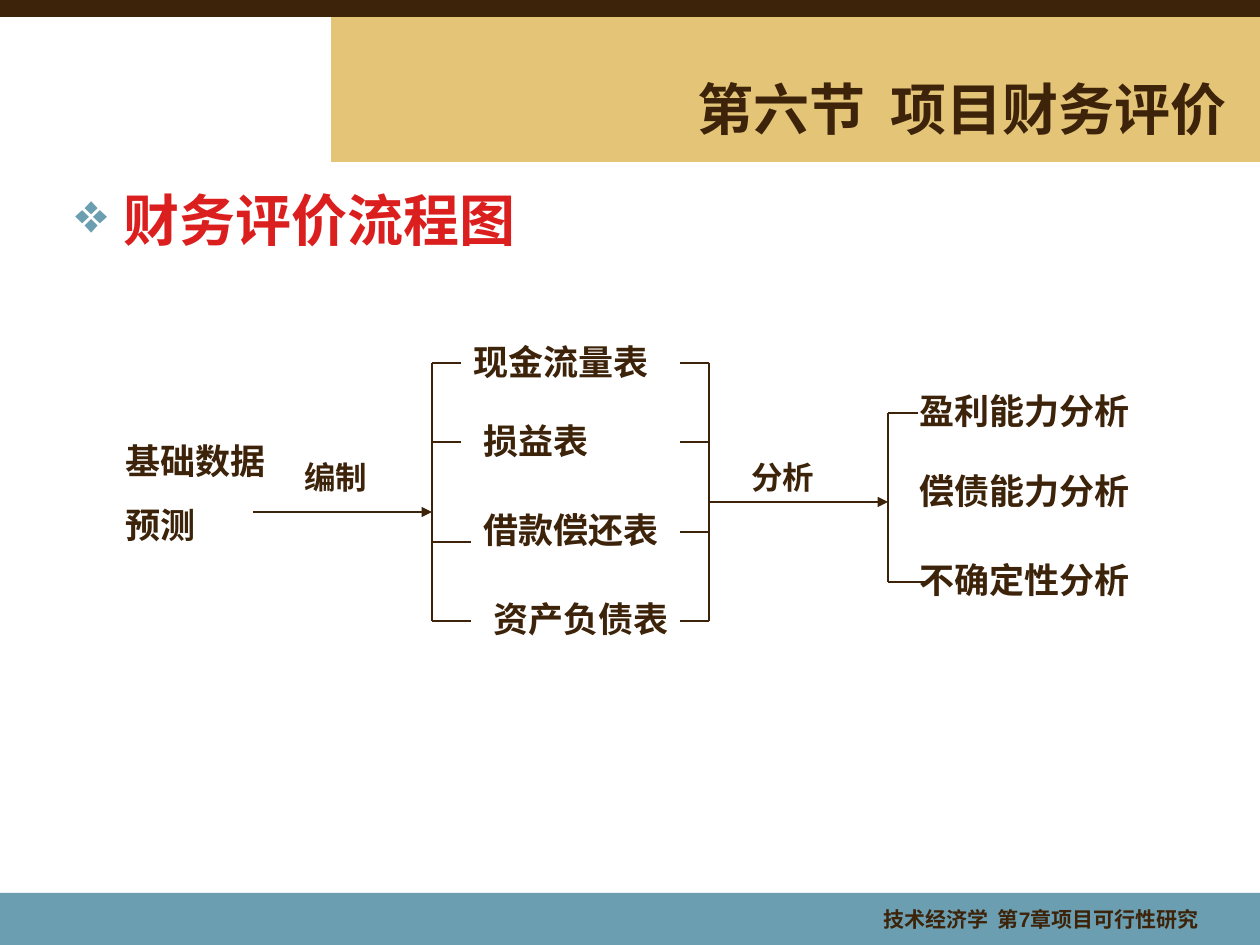
from lxml import etree
from pptx import Presentation
from pptx.dml.color import RGBColor as Rgb
from pptx.enum.shapes import MSO_CONNECTOR as Connector, MSO_SHAPE as Shape
from pptx.enum.text import MSO_ANCHOR as Anchor, MSO_AUTO_SIZE as AutoSize, PP_ALIGN as Align
from pptx.oxml.ns import qn
from pptx.util import Emu, Pt

SCALE = 914400 / 126
COLORS = {"brown": "3C230A", "sand": "E4C578", "blue": "6A9EB0", "red": "DB1F1F"}

deck = Presentation()
deck.slide_width, deck.slide_height = [Emu(round(v * SCALE)) for v in (1260, 945)]
page = deck.slides.add_slide(deck.slide_layouts[6])


def add_text(lines, place, size, color="brown", font="Arial", align=Align.LEFT, gap=0):
    box = page.shapes.add_textbox(*[Emu(round(v * SCALE)) for v in place])
    frame = box.text_frame
    frame.word_wrap = True
    for index, line in enumerate(lines):
        para = frame.add_paragraph() if index else frame.paragraphs[0]
        para.alignment = align
        if index:
            para.space_before = Pt(gap)
        span = para.add_run()
        span.text = line
        span.font.name = font
        span.font.size = Pt(size)
        span.font.bold = True
        span.font.color.rgb = Rgb.from_string(COLORS[color])
    return frame


def add_line(start, end, arrow=False):
    ends = [Emu(round(v * SCALE)) for v in (*start, *end)]
    line = page.shapes.add_connector(Connector.STRAIGHT, *ends)
    line.line.color.rgb = Rgb.from_string(COLORS["brown"])
    line.line.width = Pt(0.75)
    if arrow:
        etree.SubElement(line.line._get_or_add_ln(), qn("a:tailEnd"), type="triangle")
    etree.SubElement(line._element.spPr, qn("a:effectLst"))


# Header and footer bands
for color, place in [
    ("sand", (331, 16, 929, 146)),
    ("blue", (0, 893, 1260, 52)),
    ("brown", (0, 0, 1260, 16)),
]:
    band = page.shapes.add_shape(Shape.RECTANGLE, *[Emu(round(v * SCALE)) for v in place])
    band.shadow.inherit = False
    band.fill.solid()
    band.fill.fore_color.rgb = Rgb.from_string(COLORS[color])
    if color == "brown":
        band.line.color.rgb = Rgb.from_string(COLORS[color])
        band.line.width = Pt(0.75)
    else:
        band.line.fill.background()

# Footer and title
add_text(["技术经济学  第7章项目可行性研究"], (775, 900, 436, 42), 12, align=Align.RIGHT)
title = add_text(["第六节  项目财务评价"], (368, 69, 872, 78), 32, align=Align.RIGHT)
title.vertical_anchor = Anchor.MIDDLE

# Bulleted heading
heading = add_text(["财务评价流程图"], (63, 179, 1144, 165), 32, "red", "DejaVu Sans", Align.JUSTIFY)
props = heading.paragraphs[0]._p.get_or_add_pPr()
indent = round(48 * SCALE)
props.set("marL", str(indent))
props.set("indent", str(-indent))
bullet_color = etree.SubElement(props, qn("a:buClr"))
etree.SubElement(bullet_color, qn("a:srgbClr"), val=COLORS["blue"])
etree.SubElement(props, qn("a:buChar"), char="❖")

# Flow chart labels: lines, left, top, width, height, size
for lines, left, top, width, height, size in [
    (["基础数据", "预测"], 113, 433, 169, 118, 20),
    (["编制"], 292, 452, 139, 50, 18),
    (["现金流量表"], 461, 334, 238, 55, 20),
    (["损益表"], 471, 413, 238, 55, 20),
    (["借款偿还表"], 471, 502, 238, 55, 20),
    (["资产负债表"], 481, 591, 238, 55, 20),
    (["分析"], 739, 452, 139, 50, 18),
    (["盈利能力分析"], 907, 383, 238, 55, 20),
    (["偿债能力分析"], 907, 463, 238, 55, 20),
    (["不确定性分析"], 907, 552, 238, 55, 20),
]:
    label = add_text(lines, (left, top, width, height), size, gap=12.5)
    label.auto_size = AutoSize.SHAPE_TO_FIT_TEXT

# Brackets: spine x, then (y, far x) of each branch from top to bottom
for spine, branches in [
    (432, [(363, 461), (442, 461), (542, 471), (621, 471)]),
    (709, [(363, 680), (442, 680), (532, 680), (621, 680)]),
    (888, [(413, 918), (582, 927)]),
]:
    add_line((spine, branches[0][0]), (spine, branches[-1][0]))
    for y, far in branches:
        add_line((spine, y), (far, y))

# Arrows between the stages
add_line((253, 512), (432, 512), arrow=True)
add_line((709, 502), (888, 502), arrow=True)

deck.save("out.pptx")
